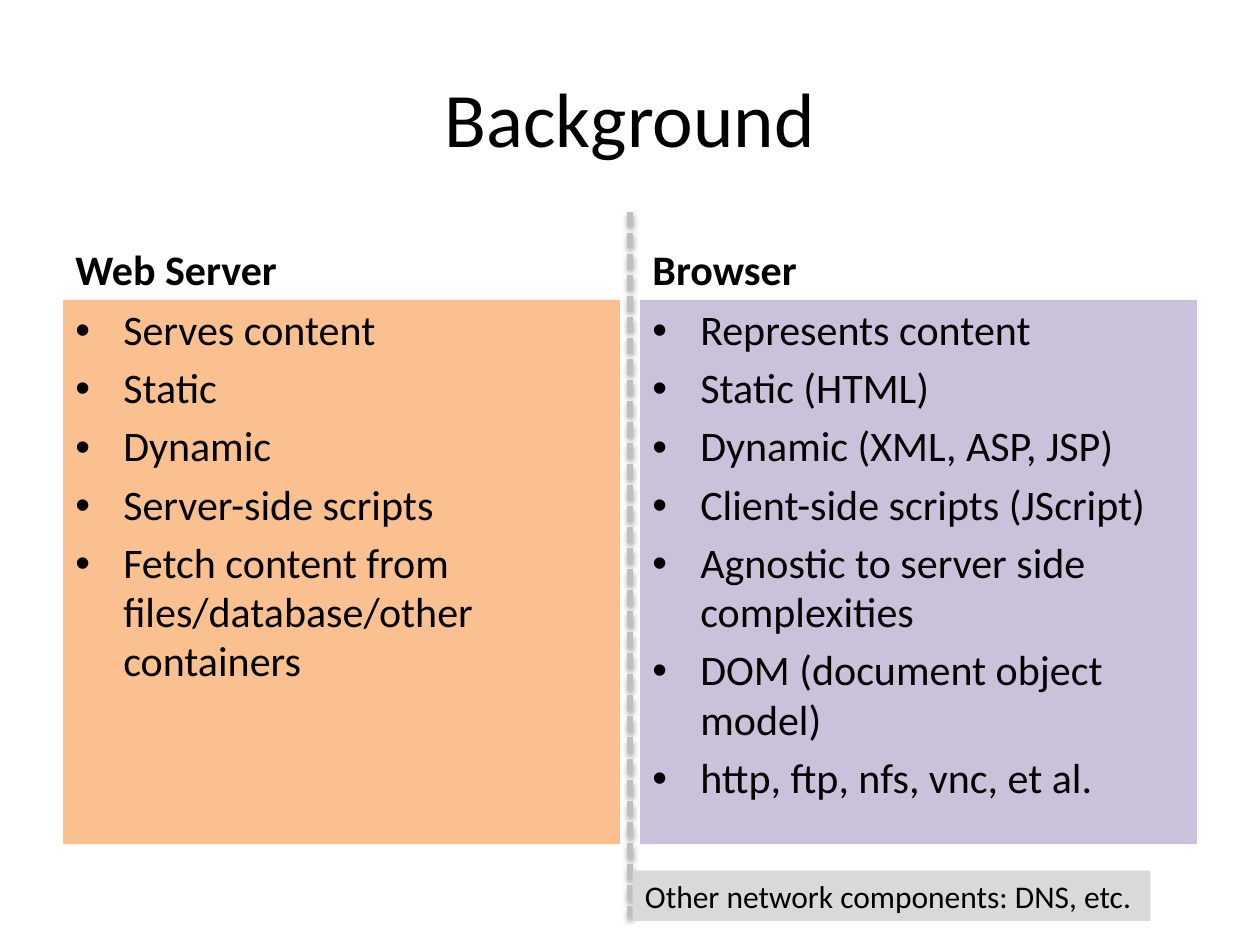
"""Build the Background slide comparing web server and browser."""
from lxml.etree import SubElement
from pptx import Presentation
from pptx.dml.color import RGBColor
from pptx.enum.dml import MSO_LINE as Dash
from pptx.enum.shapes import MSO_CONNECTOR as Link, MSO_SHAPE as Shape
from pptx.enum.text import MSO_ANCHOR as Anchor, PP_ALIGN as Align
from pptx.oxml.ns import qn
from pptx.util import Inches, Pt


def paint(color, tone):
    color.rgb = RGBColor.from_string(tone)


def write(box, lines, size, anchor, bold=False, align=Align.LEFT, bullet=False):
    frame = box.text_frame
    frame.word_wrap = True
    frame.vertical_anchor = anchor
    for i, line in enumerate(lines):
        para = frame.paragraphs[0] if i == 0 else frame.add_paragraph()
        para.alignment = align
        run = para.add_run()
        run.text = line
        font = run.font
        font.name, font.size, font.bold = "Calibri", Pt(size), bold
        paint(font.color, "000000")
        if bullet:
            para.space_before = Pt(5)
            para.line_spacing = 0.98
            props = para._p.get_or_add_pPr()
            props.set("marL", str(Inches(0.38)))
            props.set("indent", str(Inches(-0.38)))
            SubElement(props, qn("a:buFont"), typeface="Arial")
            SubElement(props, qn("a:buChar"), char="•")


deck = Presentation()
deck.slide_width, deck.slide_height = Inches(10), Inches(7.5)
slide = deck.slides.add_slide(deck.slide_layouts[6])
shapes = slide.shapes

title = shapes.add_textbox(Inches(0.5), Inches(0.3), Inches(9), Inches(1.25))
write(title, ["Background"], 44, Anchor.MIDDLE, align=Align.CENTER)

sides = [
    (0.5, "Web Server", "FAC090", [
        "Serves content", "Static", "Dynamic", "Server-side scripts",
        "Fetch content from files/database/other containers"]),
    (5.08, "Browser", "CCC1DA", [
        "Represents content", "Static (HTML)", "Dynamic (XML, ASP, JSP)",
        "Client-side scripts (JScript)", "Agnostic to server side complexities",
        "DOM (document object model)", "http, ftp, nfs, vnc, et al."]),
]
for left, name, tone, items in sides:
    head = shapes.add_textbox(Inches(left), Inches(1.68), Inches(4.42), Inches(0.7))
    write(head, [name], 24, Anchor.BOTTOM, bold=True)
    panel = shapes.add_textbox(Inches(left), Inches(2.38), Inches(4.42), Inches(4.32))
    panel.fill.solid()
    paint(panel.fill.fore_color, tone)
    write(panel, items, 24, Anchor.TOP, bullet=True)

rule = shapes.add_connector(Link.STRAIGHT, Inches(5), Inches(1.68), Inches(5), Inches(7.28))
paint(rule.line.color, "BFBFBF")
rule.line.width = Pt(3)
rule.line.dash_style = Dash.SQUARE_DOT
glow = SubElement(rule._element.spPr, qn("a:effectLst"))
shade = SubElement(glow, qn("a:outerShdw"), blurRad=str(Pt(3.1)), dist=str(Pt(1.6)),
                   dir="5400000", rotWithShape="0")
black = SubElement(shade, qn("a:srgbClr"), val="000000")
SubElement(black, qn("a:alpha"), val="38000")

note = shapes.add_shape(Shape.RECTANGLE, Inches(5.02), Inches(6.91), Inches(4.11), Inches(0.4))
note.shadow.inherit = False
note.fill.solid()
paint(note.fill.fore_color, "D9D9D9")
note.line.fill.background()
write(note, ["Other network components: DNS, etc."], 18, Anchor.TOP)
note.text_frame.word_wrap = False

deck.save("out.pptx")
